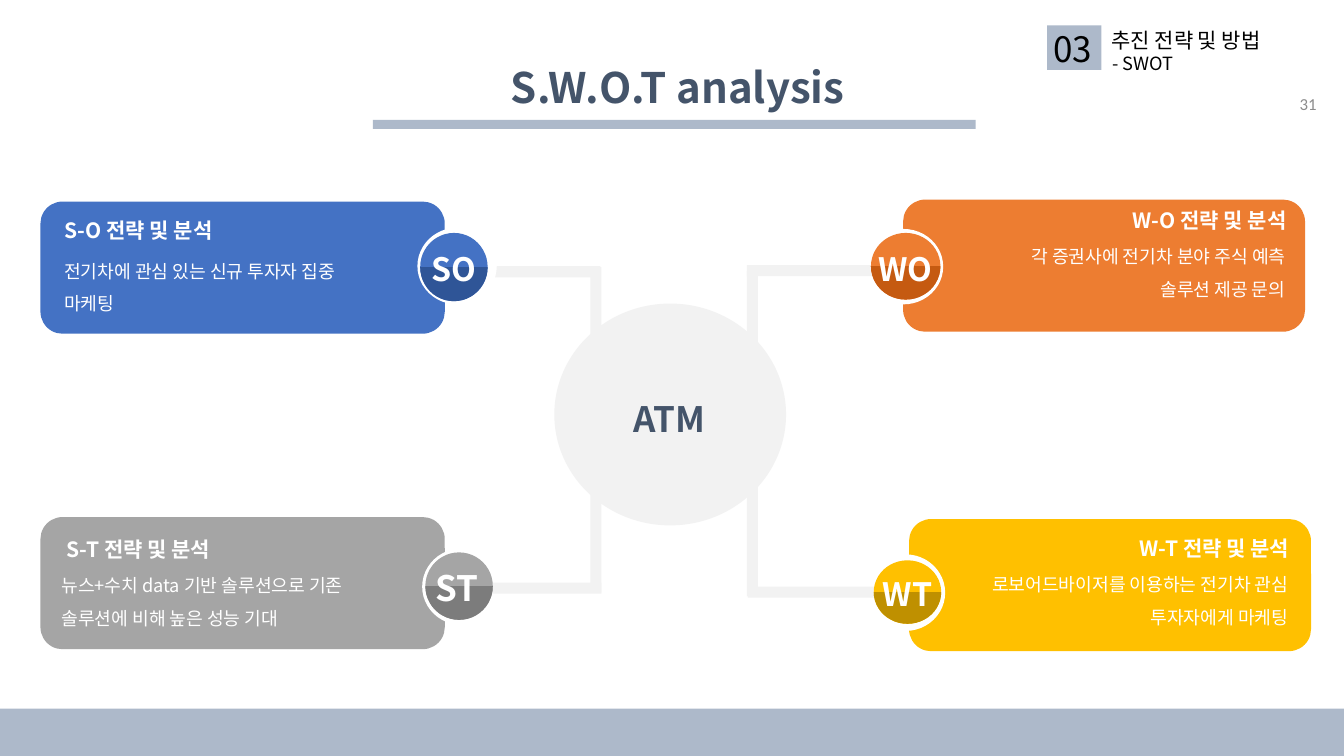
import pptx
import pptx.util
import pptx.dml.color
import pptx.enum.shapes
import pptx.enum.text
import pptx.oxml
import pptx.oxml.ns

Cm = pptx.util.Cm
SHAPE = pptx.enum.shapes.MSO_SHAPE
ALIGN = pptx.enum.text.PP_ALIGN
KOREAN = "Noto Sans CJK KR"
WHITE, BLACK, PALE, SLATE, NAVY = "FFFFFF", "000000", "F2F2F2", "ADB9CA", "44546A"


def add_block(kind, box, color):
    block = slide.shapes.add_shape(kind, *[Cm(length) for length in box])
    block.shadow.inherit = False
    block.fill.solid()
    block.fill.fore_color.rgb = pptx.dml.color.RGBColor.from_string(color)
    block.line.fill.background()
    return block


def add_text(lines, box, size, color, align=ALIGN.LEFT, bold=False, spacing=None, font=KOREAN):
    frame = slide.shapes.add_textbox(*[Cm(length) for length in box]).text_frame
    frame.word_wrap = True
    frame.auto_size = pptx.enum.text.MSO_AUTO_SIZE.SHAPE_TO_FIT_TEXT
    frame.text = lines
    for paragraph in frame.paragraphs:
        paragraph.alignment = align
        paragraph.line_spacing = spacing
        paragraph.font.name = font
        paragraph.font.size = pptx.util.Pt(size)
        paragraph.font.bold = bold
        paragraph.font.color.rgb = pptx.dml.color.RGBColor.from_string(color)
        defaults = paragraph._p.pPr.find(pptx.oxml.ns.qn("a:defRPr"))
        east_asian = pptx.oxml.parse_xml(
            f'<a:ea {pptx.oxml.ns.nsdecls("a")} typeface="{font}"/>')
        defaults.find(pptx.oxml.ns.qn("a:latin")).addnext(east_asian)
    return frame


deck = pptx.Presentation()
deck.slide_width, deck.slide_height = Cm(33.87), Cm(19.05)
slide = deck.slides.add_slide(deck.slide_layouts[6])

strategies = [
    dict(name="SO", color="4472C4", shade="2F5597", align=ALIGN.LEFT, size=23,
         card=(1.02, 5.08, 10.19, 3.33), ring=(10.52, 5.74, 2, 1.93),
         disc=(10.59, 5.87, 1.7, 1.72), arm=(10.97, 6.71), label=(9.27, 6.15),
         heading="S-O 전략 및 분석", heading_at=(1.37, 5.36),
         body="전기차에 관심 있는 신규 투자자 집중\n마케팅", body_box=(1.37, 6.15, 8.28, 1.85)),
    dict(name="ST", color="A5A5A5", shade="7C7C7C", align=ALIGN.LEFT, size=25,
         card=(1.02, 13.03, 10.19, 3.33), ring=(10.64, 13.82, 2, 1.93),
         disc=(10.72, 13.92, 1.7, 1.7), arm=(11, 14.68), label=(9.35, 14.15),
         heading="S-T 전략 및 분석", heading_at=(1.42, 13.39),
         body="뉴스+수치 data 기반 솔루션으로 기존 솔루션에 비해 높은 성능 기대",
         body_box=(1.3, 14.07, 9, 1.85)),
    dict(name="WO", color="ED7D31", shade="C55A11", align=ALIGN.RIGHT, size=23,
         card=(22.76, 5.03, 10.13, 3.33), ring=(21.77, 5.77, 2, 1.9),
         disc=(21.95, 5.87, 1.75, 1.68), arm=(18.82, 6.68), label=(20.65, 6.15),
         heading="W-O 전략 및 분석", heading_at=(28.02, 5.11),
         body="각 증권사에 전기차 분야 주식 예측\n솔루션 제공 문의",
         body_box=(19.48, 5.79, 13.16, 1.85)),
    dict(name="WT", color="FFC000", shade="BF9000", align=ALIGN.RIGHT, size=23,
         card=(22.91, 13.08, 10.13, 3.33), ring=(21.82, 13.97, 2, 1.93),
         disc=(22.02, 14.12, 1.7, 1.6), arm=(18.85, 14.78), label=(20.7, 14.35),
         heading="W-T 전략 및 분석", heading_at=(28.09, 13.36),
         body="로보어드바이저를 이용하는 전기차 관심 투자자에게 마케팅",
         body_box=(24.66, 14.05, 8.05, 1.85)),
]

for strategy in strategies:
    add_block(SHAPE.ROUNDED_RECTANGLE, strategy["card"], strategy["color"])
for strategy in strategies[1:]:
    add_block(SHAPE.OVAL, strategy["ring"], WHITE)
for strategy in strategies:
    add_block(SHAPE.RECTANGLE, (*strategy["arm"], 4.16, 0.28), PALE)
for trunk_at in [(14.88, 6.73), (18.82, 6.83)]:
    add_block(SHAPE.RECTANGLE, (*trunk_at, 0.28, 8.2), PALE)
add_block(SHAPE.OVAL, strategies[0]["ring"], WHITE)

add_block(SHAPE.OVAL, (13.97, 7.65, 5.84, 5.59), PALE)
add_text("ATM", (13.08, 9.88, 7.59, 1.32), 25, NAVY, ALIGN.CENTER, True)

for strategy in strategies:
    add_block(SHAPE.OVAL, strategy["disc"], strategy["color"])
    lower_half = add_block(SHAPE.CHORD, strategy["disc"], strategy["shade"])
    lower_half.adjustments[0] = 0
    lower_half.adjustments[1] = 108
    add_text(strategy["name"], (*strategy["label"], 4.34, 1.24), strategy["size"], WHITE,
             ALIGN.CENTER, True)
    add_text(strategy["body"], strategy["body_box"], 13, WHITE, strategy["align"], spacing=1.5)
    add_text(strategy["heading"], (*strategy["heading_at"], 4.65, 0.89), 15, WHITE,
             strategy["align"], True)

add_text("S.W.O.T analysis", (3.2, 1.42, 27.76, 1.55), 30, NAVY, ALIGN.CENTER, True)
add_block(SHAPE.RECTANGLE, (9.4, 3.02, 15.19, 0.23), SLATE)
add_block(SHAPE.RECTANGLE, (0, 17.86, 33.87, 1.19), SLATE)

add_block(SHAPE.RECTANGLE, (26.39, 0.64, 1.37, 1.12), SLATE)
add_text("03", (26.29, 0.56, 1.83, 1.32), 25, BLACK)
add_text("추진 전략 및 방법", (27.76, 0.58, 5.9, 0.89), 15, BLACK)
add_text("- SWOT", (27.79, 1.19, 5.9, 0.81), 13, BLACK)
page_number = add_text("31", (25.81, 2.11, 7.62, 1.02), 12, "8C8C8C", ALIGN.RIGHT, font="Calibri")
page_number.auto_size = pptx.enum.text.MSO_AUTO_SIZE.NONE
page_number.vertical_anchor = pptx.enum.text.MSO_ANCHOR.MIDDLE

deck.save("out.pptx")
